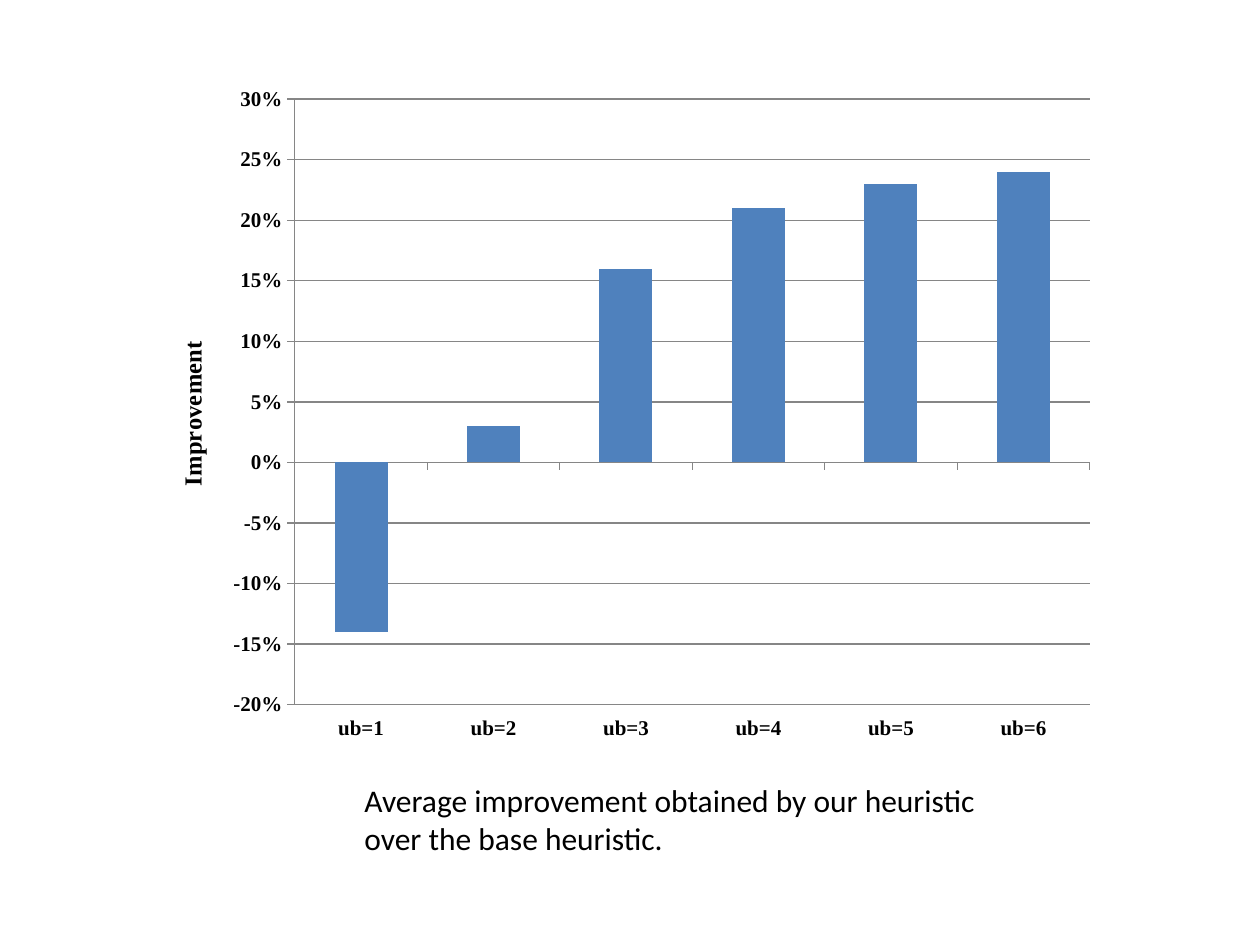
from lxml import etree
from pptx import Presentation
from pptx.chart.data import CategoryChartData
from pptx.dml.color import RGBColor
from pptx.enum.chart import XL_CHART_TYPE, XL_TICK_LABEL_POSITION, XL_TICK_MARK
from pptx.enum.text import MSO_AUTO_SIZE
from pptx.oxml.ns import qn
from pptx.util import Emu, Pt

COLUMNS = XL_CHART_TYPE.COLUMN_CLUSTERED
LOW = XL_TICK_LABEL_POSITION.LOW
OUTSIDE, NO_TICK = XL_TICK_MARK.OUTSIDE, XL_TICK_MARK.NONE
GROW = MSO_AUTO_SIZE.SHAPE_TO_FIT_TEXT

BLACK = RGBColor(0x00, 0x00, 0x00)
BLUE = RGBColor(0x4F, 0x81, 0xBD)
GRAY = RGBColor(0x86, 0x86, 0x86)

# Content
IMPROVEMENT = {"ub=1": -0.14, "ub=2": 0.03, "ub=3": 0.16,
               "ub=4": 0.21, "ub=5": 0.23, "ub=6": 0.24}
AXIS_TITLE = "Improvement"
CAPTION = "Average improvement obtained by our heuristic over the base heuristic."

# Places in px: left, top, width, height
PX = 914400 // 126
SLIDE_SIZE = (1260, 945)
CHART_BOX = (150, 74, 959, 679)
PLOT_BOX = (295, 99, 795, 606)
CAPTION_BOX = (352, 775, 673, 89)


def emu(lengths):
    return [Emu(n * PX) for n in lengths]


def set_font(font, size, name, bold):
    font.size, font.name, font.bold = Pt(size), name, bold
    font.color.rgb = BLACK


def place_plot(chart):
    """Fix the inner plot area as fractions of the chart frame."""
    left, top, width, height = CHART_BOX
    x, y, w, h = PLOT_BOX
    settings = {"layoutTarget": "inner", "xMode": "edge", "yMode": "edge",
                "x": round((x - left) / width, 3), "y": round((y - top) / height, 3),
                "w": round(w / width, 3), "h": round(h / height, 3)}
    area = chart.element.find(".//" + qn("c:plotArea"))
    for old in area.findall(qn("c:layout")):
        area.remove(old)
    layout = etree.Element(qn("c:layout"))
    area.insert(0, layout)
    manual = etree.SubElement(layout, qn("c:manualLayout"))
    for tag, value in settings.items():
        etree.SubElement(manual, qn("c:" + tag)).set("val", str(value))


prs = Presentation()
prs.slide_width, prs.slide_height = emu(SLIDE_SIZE)
s = prs.slides.add_slide(prs.slide_layouts[6])

# Column chart
data = CategoryChartData(number_format="0%")
data.categories = list(IMPROVEMENT)
data.add_series("Series 1", list(IMPROVEMENT.values()))
chart = s.shapes.add_chart(COLUMNS, *emu(CHART_BOX), data).chart
chart.has_legend = chart.has_title = False
set_font(chart.font, 10, "Times New Roman", True)
place_plot(chart)

plot = chart.plots[0]
plot.gap_width = 150
plot.vary_by_categories = False
bars = plot.series[0]
bars.invert_if_negative = False
bars.format.fill.solid()
bars.format.fill.fore_color.rgb = BLUE

# Axes
cat_axis, val_axis = chart.category_axis, chart.value_axis
for axis in (cat_axis, val_axis):
    axis.major_tick_mark, axis.minor_tick_mark = OUTSIDE, NO_TICK
    axis.format.line.color.rgb = GRAY
    axis.format.line.width = Pt(0.75)
    set_font(axis.tick_labels.font, 12, "Times New Roman", True)
cat_axis.tick_label_position = LOW

val_axis.minimum_scale, val_axis.maximum_scale, val_axis.major_unit = -0.2, 0.3, 0.05
val_axis.tick_labels.number_format = "0%"
val_axis.tick_labels.number_format_is_linked = False
val_axis.has_major_gridlines = True
val_axis.major_gridlines.format.line.color.rgb = GRAY
val_axis.major_gridlines.format.line.width = Pt(0.75)
tf = val_axis.axis_title.text_frame
tf.text = AXIS_TITLE
set_font(tf.paragraphs[0].font, 14, "Times New Roman", True)

# Caption
tf = s.shapes.add_textbox(*emu(CAPTION_BOX)).text_frame
tf.word_wrap, tf.auto_size = True, GROW
tf.text = CAPTION
set_font(tf.paragraphs[0].font, 18, "Calibri", False)

prs.save("out.pptx")
